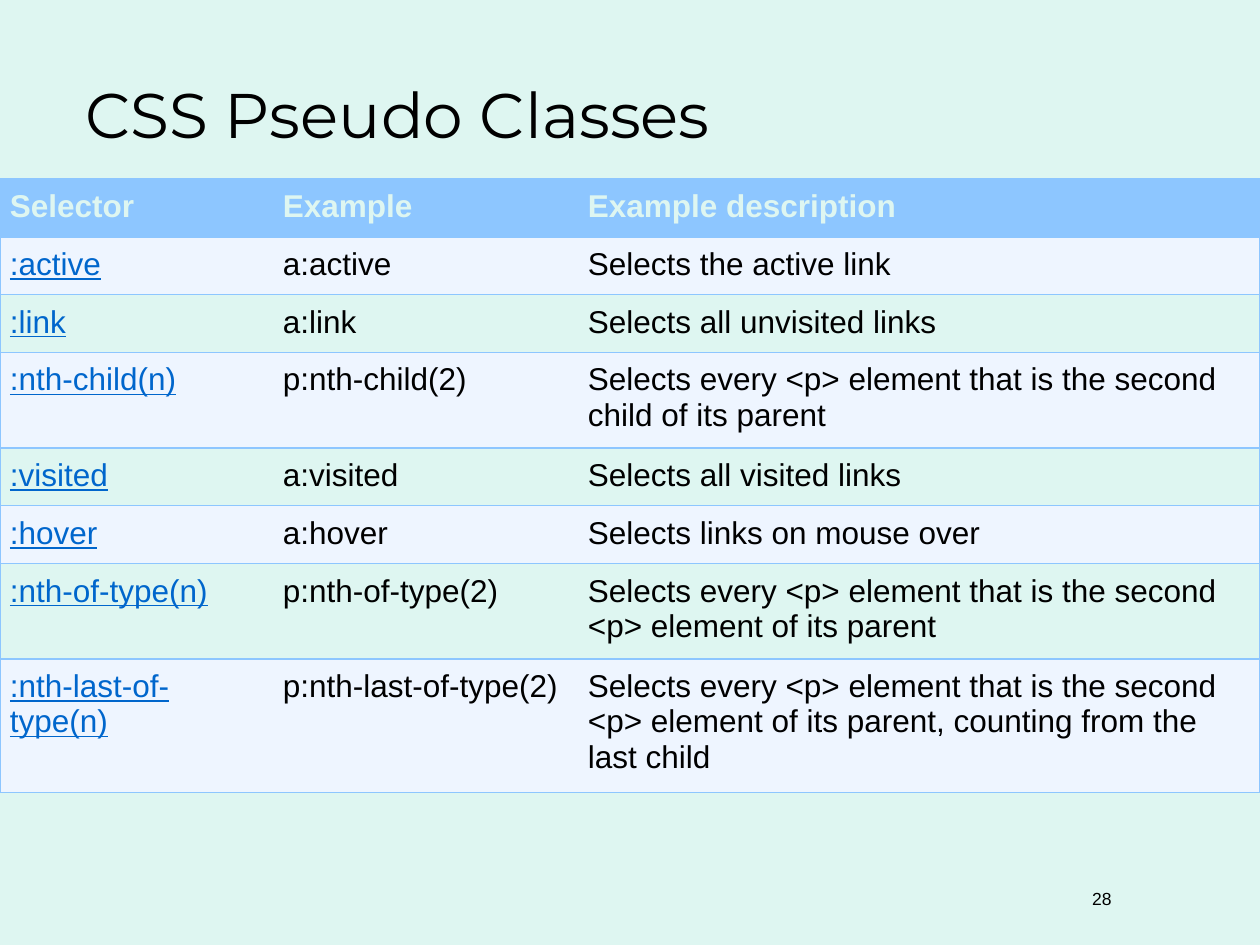
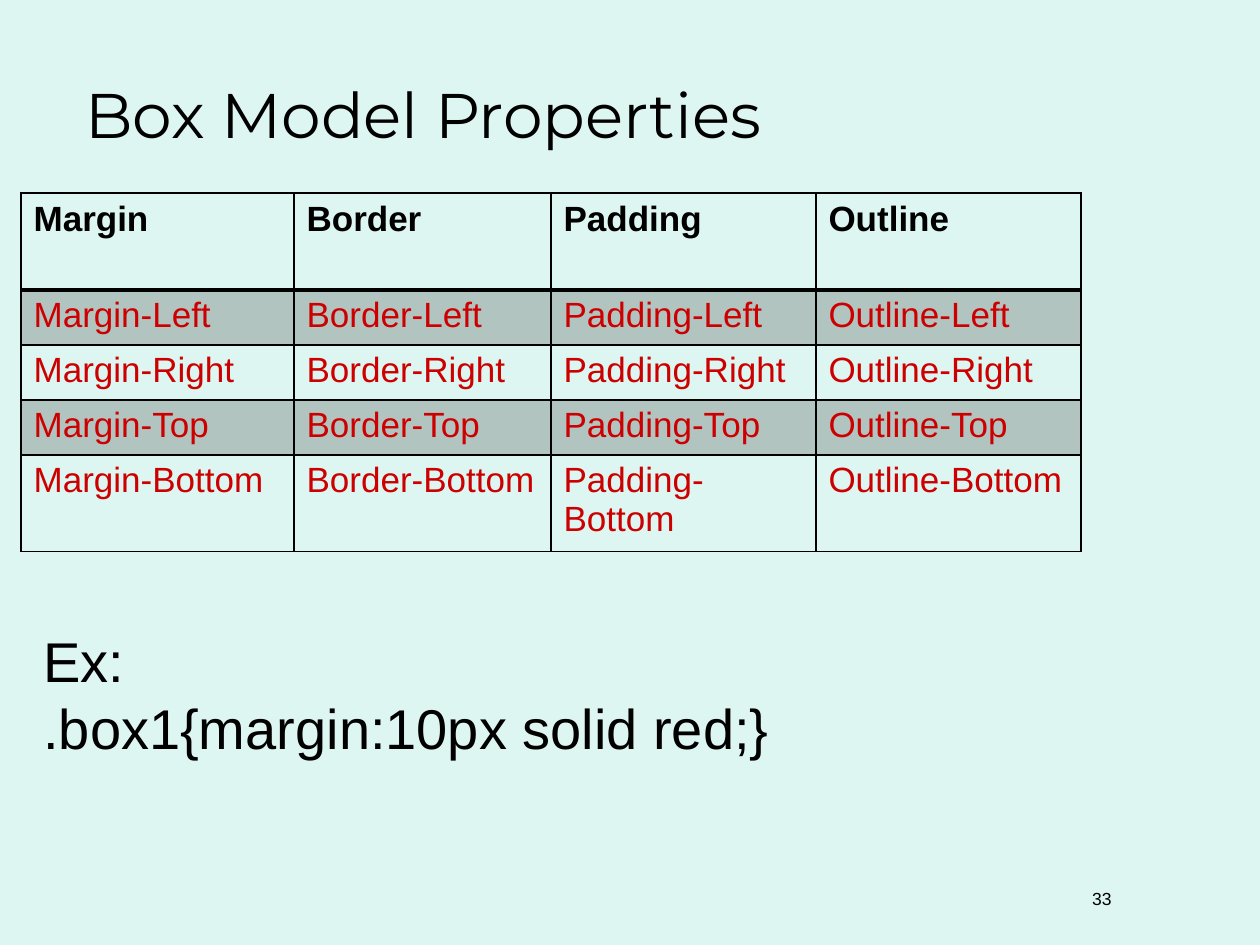
from pptx import Presentation
from pptx.dml.color import RGBColor
from pptx.enum.text import MSO_ANCHOR, PP_ALIGN
from pptx.oxml.ns import qn
from pptx.util import Pt
from lxml.etree import SubElement

# Content
PSEUDO_CLASSES = [
    ("Selector", "Example", "Example description"),
    (":active", "a:active", "Selects the active link"),
    (":link", "a:link", "Selects all unvisited links"),
    (":nth-child(n)", "p:nth-child(2)",
     "Selects every <p> element that is the second child of its parent"),
    (":visited", "a:visited", "Selects all visited links"),
    (":hover", "a:hover", "Selects links on mouse over"),
    (":nth-of-type(n)", "p:nth-of-type(2)",
     "Selects every <p> element that is the second <p> element of its parent"),
    (":nth-last-of-type(n)", "p:nth-last-of-type(2)",
     "Selects every <p> element that is the second <p> element of its parent, "
     "counting from the last child"),
]
BOX_PROPERTIES = ["Margin", "Border", "Padding", "Outline"]
BOX_SIDES = ["Left", "Right", "Top", "Bottom"]
BOX_EXAMPLE = ["Ex:", ".box1{margin:10px solid red;}"]

# Shared look
COLORS = {"bg": "DEF6F1", "text": "000000", "blue": "8DC6FF", "pale": "EEF5FF",
          "link": "0066CC", "red": "CC0000"}
BODY, HEADING = "Arial", "Montserrat"
NO_STYLE = "{2D5ABB26-0587-4C30-8999-92F81FD0307C}"
EMU_PER_PX = 914400 / 126


def px(n):
    return round(n * EMU_PER_PX)


def rgb(name):
    return RGBColor.from_string(COLORS[name])


def write(tf, *lines, size=18, font=BODY, color="text", bold=False,
          underline=False, align=None, spacing=None):
    tf.word_wrap = True
    for i, line in enumerate(lines):
        p = tf.add_paragraph() if i else tf.paragraphs[0]
        p.alignment, p.line_spacing = align, spacing
        r = p.add_run()
        r.text = line
        r.font.size, r.font.name = Pt(size), font
        r.font.bold, r.font.underline = bold, underline
        r.font.color.rgb = rgb(color)


def add_text(s, box, *lines, anchor=MSO_ANCHOR.TOP, **fmt):
    tf = s.shapes.add_textbox(*map(px, box)).text_frame
    tf.vertical_anchor = anchor
    write(tf, *lines, **fmt)


def add_page(prs, title, number):
    s = prs.slides.add_slide(prs.slide_layouts[6])
    s.background.fill.solid()
    s.background.fill.fore_color.rgb = rgb("bg")
    add_text(s, (73, 73, 1050, 95), title, anchor=MSO_ANCHOR.MIDDLE,
             size=36, font=HEADING, spacing=0.8)
    add_text(s, (945, 882, 179, 63), str(number), size=10, align=PP_ALIGN.RIGHT)
    return s


def add_grid(s, left, top, widths, heights):
    table = s.shapes.add_table(len(heights), len(widths), px(left), px(top),
                               px(sum(widths)), px(sum(heights))).table
    table.first_row = table.horz_banding = False
    table._tbl.tblPr.find(qn("a:tableStyleId")).text = NO_STYLE
    for column, width in zip(table.columns, widths):
        column.width = px(width)
    for row, height in zip(table.rows, heights):
        row.height = px(height)
    return table


def set_borders(cell, color, **widths):
    tcPr = cell._tc.get_or_add_tcPr()
    for side in "LRTB":
        if side in widths:
            ln = SubElement(tcPr, qn(f"a:ln{side}"), w=str(Pt(widths[side])))
            SubElement(SubElement(ln, qn("a:solidFill")), qn("a:srgbClr"),
                       val=COLORS[color])


def set_fill(cell, color, alpha=100):
    cell.fill.solid()
    cell.fill.fore_color.rgb = rgb(color)
    if alpha < 100:
        clr = cell._tc.tcPr.find(qn("a:solidFill")).find(qn("a:srgbClr"))
        SubElement(clr, qn("a:alpha"), val=str(alpha * 1000))


def pseudo_classes_slide(prs):
    s = add_page(prs, "CSS Pseudo Classes", 28)
    one, two, three = 56, 92, 127  # row heights by number of text lines
    table = add_grid(s, 0, 179, (273, 305, 682),
                     (one, one, one, two, one, one, two, three))
    last = len(PSEUDO_CLASSES[0]) - 1
    for i, row in enumerate(PSEUDO_CLASSES):
        for j, text in enumerate(row):
            cell = table.cell(i, j)
            cell.margin_left = cell.margin_right = px(10)
            cell.margin_top = cell.margin_bottom = px(10)
            edges = {"T": 1, "B": 1}
            if j == 0:
                edges["L"] = 1
            if j == last:
                edges["R"] = 1
            set_borders(cell, "blue", **edges)
            set_fill(cell, "blue" if i == 0 else "pale" if i % 2 else "bg")
            link = i > 0 and j == 0
            write(cell.text_frame, text, bold=i == 0, underline=link,
                  color="bg" if i == 0 else "link" if link else "text")


def box_model_slide(prs):
    s = add_page(prs, "Box Model Properties", 33)
    table = add_grid(s, 21, 193, (273, 257, 265, 265), (97, 55, 55, 55, 90))
    for j, prop in enumerate(BOX_PROPERTIES):
        for i, text in enumerate([prop] + [f"{prop}-{side}" for side in BOX_SIDES]):
            cell = table.cell(i, j)
            set_borders(cell, "text", L=1, R=1, T=2 if i == 1 else 1,
                        B=2 if i == 0 else 1)
            if i % 2:
                set_fill(cell, "text", alpha=20)
            else:
                cell.fill.background()
            write(cell.text_frame, text, size=20, bold=i == 0,
                  color="red" if i else "text")
    add_text(s, (31, 620, 1040, 149), *BOX_EXAMPLE, size=32)


def main():
    prs = Presentation()
    prs.slide_width, prs.slide_height = px(1260), px(945)
    pseudo_classes_slide(prs)
    box_model_slide(prs)
    prs.save("out.pptx")


if __name__ == "__main__":
    main()
